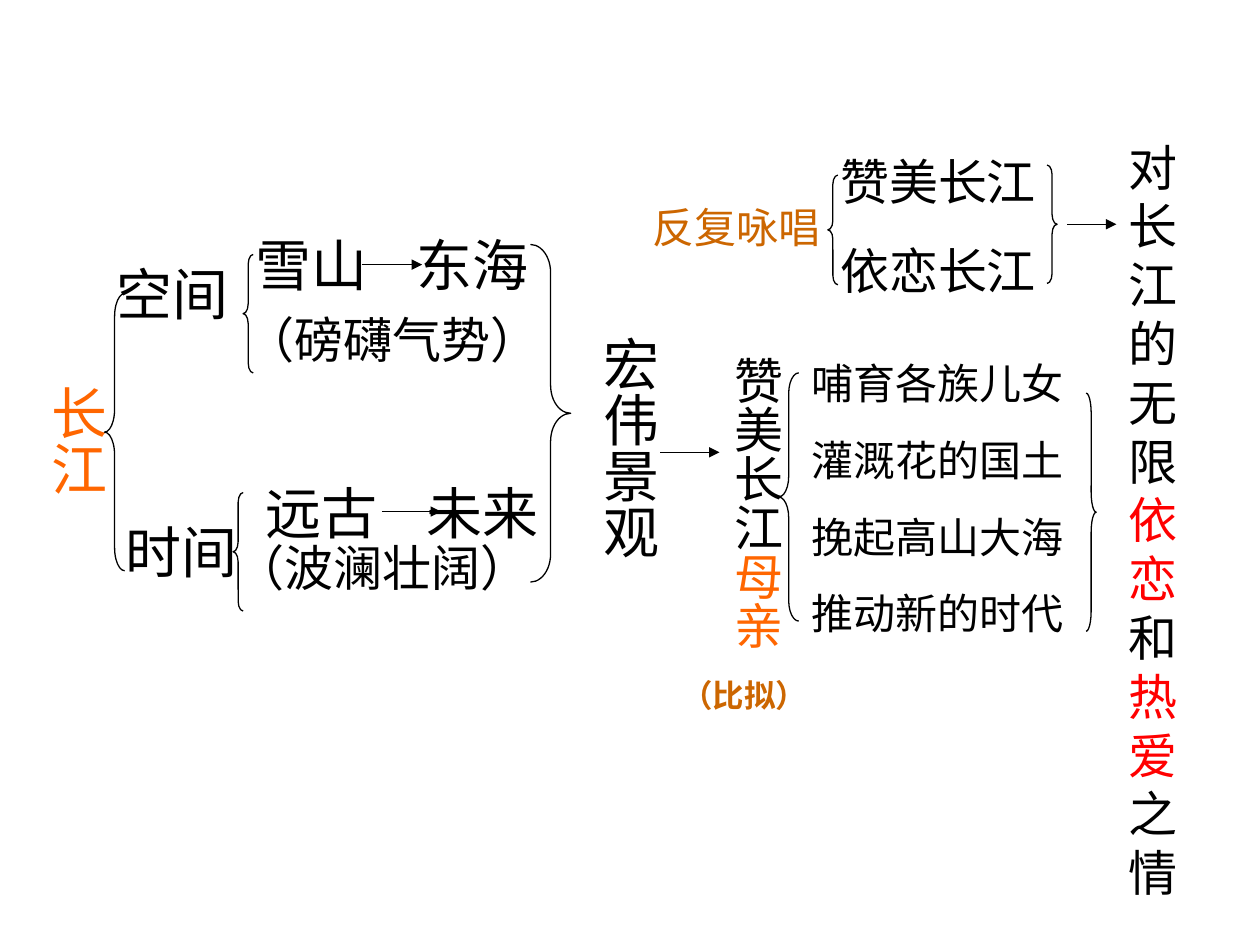
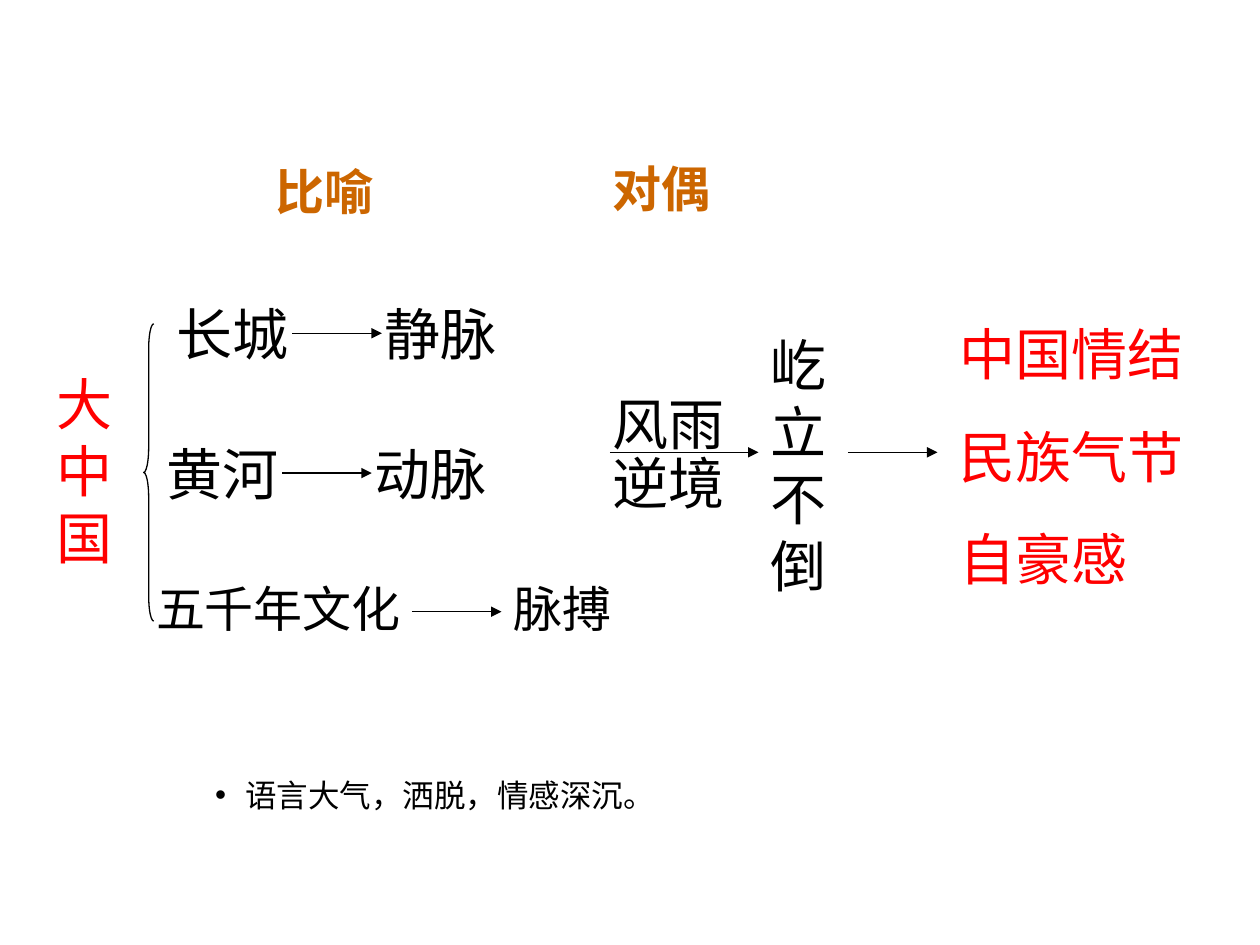
from pptx import Presentation
from pptx.dml.color import RGBColor
from pptx.enum.shapes import MSO_CONNECTOR as Connector, MSO_SHAPE as Shape
from pptx.enum.text import MSO_ANCHOR as Anchor, PP_ALIGN as Align
from pptx.oxml.ns import qn
from pptx.util import Inches, Pt
from lxml.etree import SubElement

BLACK = RGBColor(0, 0, 0)
RED = RGBColor(0xFF, 0, 0)
ORANGE = RGBColor(0xFF, 0x66, 0)
BROWN = RGBColor(0xCC, 0x66, 0)

FONT = "Arial"
CJK_FONT = "Noto Sans CJK JP"
COLUMNS, ROWS = 100, 75
CELL = Inches(0.1)
LARGE, MEDIUM, SMALL, NOTE = 32, 28, 24, 18
LINE_WIDTH = Pt(0.75)
LINE_HEIGHT = 1.2
PARA_GAP = 0.625
LEFT, RIGHT = Shape.LEFT_BRACE, Shape.RIGHT_BRACE


def cells(*counts):
    return [round(count * CELL) for count in counts]


def text_box(page, place, paras, size=LARGE, color=BLACK, bold=False,
             font=FONT, vertical=False, bullet=False):
    box = page.shapes.add_textbox(*cells(*place))
    frame = box.text_frame
    frame.word_wrap = True
    frame.vertical_anchor = Anchor.TOP
    wide, narrow = cells(1, 0.5)
    side, end = (narrow, wide) if vertical else (wide, narrow)
    frame.margin_left = frame.margin_right = side
    frame.margin_top = frame.margin_bottom = end
    if vertical:
        frame._txBody.bodyPr.set("vert", "eaVert")
    for index, runs in enumerate(paras):
        para = frame.add_paragraph() if index else frame.paragraphs[0]
        para.alignment = Align.CENTER if vertical else Align.LEFT
        para.line_spacing = Pt(size * LINE_HEIGHT)
        if index:
            para.space_before = Pt(size * PARA_GAP)
        if bullet:
            add_bullet(para)
        for run in [(runs, color)] if isinstance(runs, str) else runs:
            words, run_color = run
            span = para.add_run()
            span.text = words
            span.font.name = font
            span.font.size = Pt(size)
            span.font.bold = bold
            span.font.color.rgb = run_color
    return box


def add_bullet(para):
    indent = Inches(0.24)
    properties = para._p.get_or_add_pPr()
    properties.set("marL", str(indent))
    properties.set("indent", str(-indent))
    SubElement(properties, qn("a:buFont")).set("typeface", FONT)
    SubElement(properties, qn("a:buChar")).set("char", "•")


def brace(page, kind, left, top, width, height):
    shape = page.shapes.add_shape(kind, *cells(left, top, width, height))
    shape.shadow.inherit = False
    shape.fill.background()
    shape.line.color.rgb = BLACK
    shape.line.width = LINE_WIDTH
    shape.adjustments[0] = height / 12 / width
    shape.adjustments[1] = 0.5


def arrow(page, start, end, row):
    line = page.shapes.add_connector(
        Connector.STRAIGHT, *cells(start, row, end, row))
    line.line.color.rgb = BLACK
    line.line.width = LINE_WIDTH
    SubElement(line.line._get_or_add_ln(), qn("a:tailEnd")).set("type", "triangle")
    SubElement(line._element.spPr, qn("a:effectLst"))


def arrow_pair(page, top, first, second, size=LARGE, font=FONT):
    for left, width, words in (first, second):
        text_box(page, (left, top, width, size / 5), [words], size, font=font)


def river_page(page):
    text_box(page, (2, 29.6, 7.3, 15.8), ["长江"], color=ORANGE, vertical=True)
    brace(page, LEFT, 8.3, 23.3, 1.6, 22)

    text_box(page, (8.3, 20.1, 12.6, 6.4), ["空间"])
    brace(page, LEFT, 19.3, 20.2, 0.8, 9.4)
    arrow_pair(page, 17.8, (19.3, 12, "雪山"), (32.1, 12, "东海"), font=CJK_FONT)
    arrow(page, 28.7, 33.5, 21)
    text_box(page, (18.5, 24.1, 29.9, 5.7), ["（磅礴气势）"], MEDIUM)

    text_box(page, (9, 40.6, 11.2, 6.4), ["时间"])
    brace(page, LEFT, 18.5, 39.1, 0.8, 9.4)
    arrow_pair(page, 37.5, (20.1, 12, "远古"), (32.9, 12, "未来"), font=CJK_FONT)
    arrow(page, 30.3, 35, 40.6)
    text_box(page, (17.7, 42.2, 29.1, 5.7), ["（波澜壮阔）"], MEDIUM)

    brace(page, RIGHT, 42.1, 19.4, 3.2, 26.8)
    text_box(page, (45.8, 25.7, 7.3, 25.2), ["宏伟景观"], vertical=True)
    arrow(page, 52.4, 57.1, 35.9)

    text_box(page, (56.3, 27.3, 6.6, 31.5),
             [[("赞美长江", BLACK), ("母亲", ORANGE)]], MEDIUM, vertical=True)
    text_box(page, (53.1, 53.2, 15, 4), ["（比拟）"], NOTE, BROWN, bold=True)
    brace(page, LEFT, 61.8, 29.6, 1.6, 19.7)
    text_box(page, (63.4, 27.9, 24.4, 23.3),
             ["哺育各族儿女", "灌溉花的国土", "挽起高山大海", "推动新的时代"], SMALL)
    brace(page, RIGHT, 86.2, 31.2, 0.8, 18.9)

    text_box(page, (50.8, 15.5, 15.7, 5), ["反复咏唱"], SMALL, BROWN)
    brace(page, LEFT, 65.7, 13.9, 0.8, 8.7)
    text_box(page, (65.7, 11.5, 19.7, 12.8), ["赞美长江", "依恋长江"], MEDIUM)
    brace(page, RIGHT, 83.1, 13.1, 0.8, 9.4)
    arrow(page, 84.7, 88.6, 17.8)
    text_box(page, (88.6, 10.4, 9.5, 61.7),
             [[("对长江的无限", BLACK), ("依恋", RED), ("和", BLACK),
               ("热爱", RED), ("之情", BLACK)]], MEDIUM)


def nation_page(page):
    text_box(page, (20.9, 12.3, 11.8, 5.7), ["比喻"], MEDIUM, BROWN, bold=True)
    text_box(page, (47.6, 12.1, 14.2, 5.7), ["对偶"], MEDIUM, BROWN, bold=True)

    text_box(page, (3.5, 28.8, 6.3, 17), ["大中国"], color=RED)
    brace(page, LEFT, 11.4, 25.7, 0.8, 23.6)
    metaphors = [
        (23.3, (13, 11.2, "长城"), (29.5, 14.9, "静脉"), LARGE, 23.2),
        (34.4, (12.2, 11.2, "黄河"), (28.7, 11.2, "动脉"), LARGE, 22.4),
        (45.4, (11.4, 30.7, "五千年文化"), (39.8, 11.2, "脉搏"), MEDIUM, 32.7),
    ]
    for top, image, meaning, size, start in metaphors:
        arrow_pair(page, top, image, meaning, size)
        arrow(page, start, start + 7.1, top + 3.15)

    for top, words in ((30.4, "风雨"), (35.1, "逆境")):
        text_box(page, (47.6, top, 15, 6.4), [words])
    arrow(page, 48.4, 60.2, 35.9)
    text_box(page, (60.2, 25.7, 7.1, 30.5), ["屹立不倒"])
    arrow(page, 67.3, 74.4, 35.9)
    text_box(page, (75.2, 24.9, 23.2, 22.6),
             ["中国情结", "民族气节", "自豪感"], color=RED)

    text_box(page, (16.1, 61.1, 38.6, 4), ["语言大气，洒脱，情感深沉。"],
             NOTE, bullet=True)


def main():
    deck = Presentation()
    deck.slide_width, deck.slide_height = cells(COLUMNS, ROWS)
    blank = deck.slide_layouts[6]
    for fill_page in (river_page, nation_page):
        fill_page(deck.slides.add_slide(blank))
    deck.save("out.pptx")


if __name__ == "__main__":
    main()
